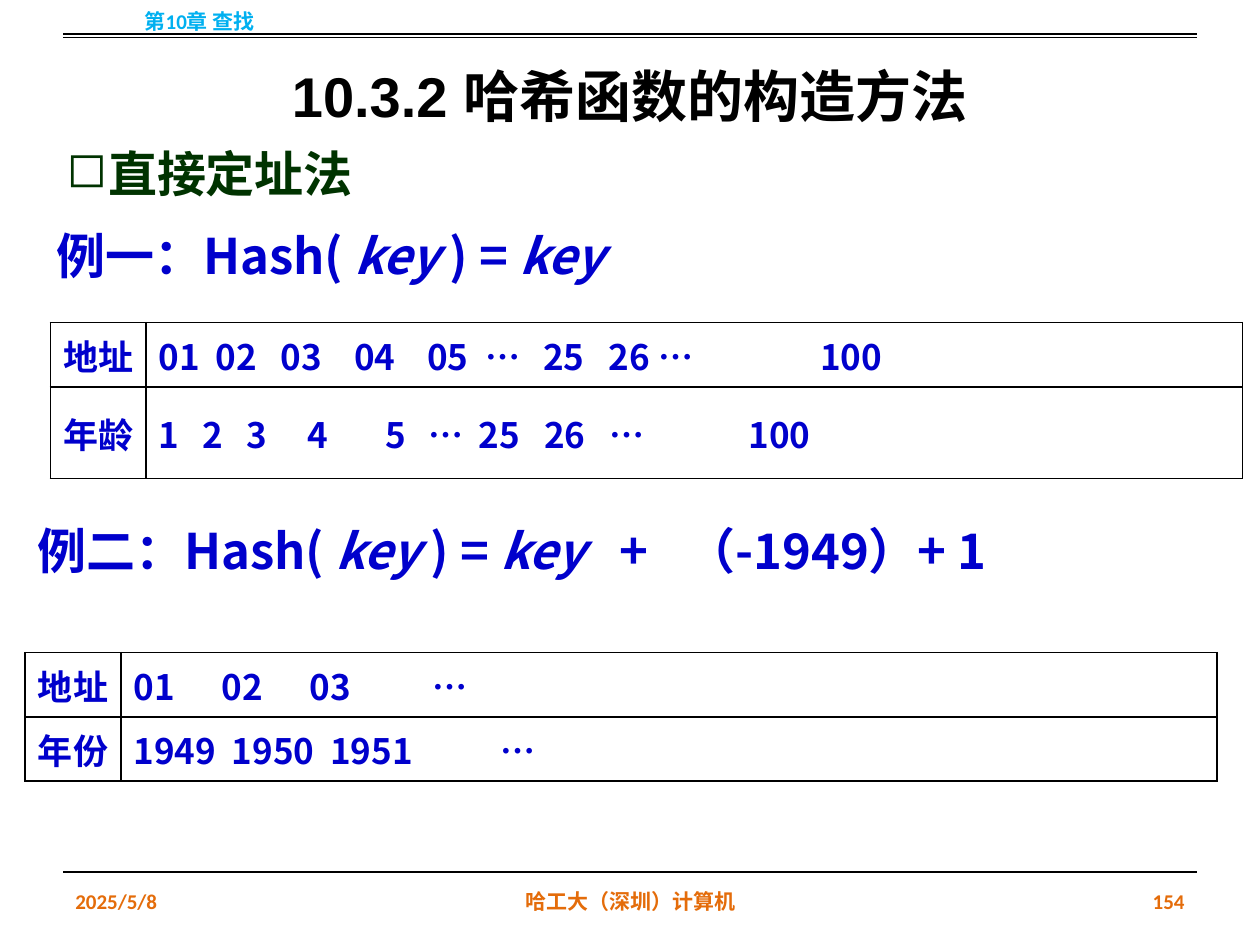
from lxml import etree
from pptx import Presentation
from pptx.dml.color import RGBColor
from pptx.enum.shapes import MSO_CONNECTOR
from pptx.enum.text import MSO_ANCHOR, PP_ALIGN
from pptx.oxml import parse_xml
from pptx.oxml.ns import nsdecls, qn
from pptx.util import Inches, Pt

LEFT, MID, RIGHT = PP_ALIGN.LEFT, PP_ALIGN.CENTER, PP_ALIGN.RIGHT
TOP, CENTER = MSO_ANCHOR.TOP, MSO_ANCHOR.MIDDLE
LINE = MSO_CONNECTOR.STRAIGHT
HUES = {"black": "000000", "orange": "E46C0A", "sky": "00B0F0",
        "blue": "0000CC", "green": "003300"}
SANS = "Noto Sans CJK SC"

deck = Presentation()
deck.slide_width, deck.slide_height = Inches(10), Inches(7.5)
col, row = deck.slide_width / 100, deck.slide_height / 75
slide = deck.slides.add_slide(deck.slide_layouts[5])
shapes = slide.shapes


def grid(x, y, w, h):
    return int(x * col), int(y * row), int(w * col), int(h * row)


def style(para, size, face, hue, align=LEFT, stops=()):
    para.alignment = align
    if stops:
        tabs = etree.SubElement(para._p.get_or_add_pPr(), qn("a:tabLst"))
        for stop in stops:
            etree.SubElement(tabs, qn("a:tab"), pos=str(int(stop * col)), algn="l")
    font = para.font
    font.size, font.name, font.bold = Pt(size), face, True
    font.color.rgb = RGBColor.from_string(HUES[hue])


title = shapes.title
title.left, title.top, title.width, title.height = grid(5, 0, 90, 12.5)
title.text_frame.text = "10.3.2 哈希函数的构造方法"
title.text_frame.vertical_anchor = CENTER
head = title.text_frame.paragraphs[0]
head.line_spacing = 1.5
style(head, 32, "Arial", "black", MID)

for y in (2.7, 3, 69.2):
    x, y, w, h = grid(5, y, 90, 0)
    rule = shapes.add_connector(LINE, x, y, x + w, y)
    rule.line.color.rgb = RGBColor.from_string(HUES["black"])
    rule.line.width = Pt(0.75)
    etree.SubElement(rule._element.spPr, qn("a:effectLst"))

labels = [
    ("第10章 查找", (0, 0, 31.7, 3.4), "sky", MID),
    ("2025/5/8", (5, 69.5, 23.3, 4), "orange", LEFT),
    ("哈工大（深圳）计算机", (34.2, 69.5, 31.7, 4), "orange", MID),
    ("154", (71.7, 69.5, 23.3, 4), "orange", RIGHT),
]
for text, spot, hue, align in labels:
    frame = shapes.add_textbox(*grid(*spot)).text_frame
    frame.word_wrap = True
    frame.vertical_anchor = CENTER
    frame.text = text
    style(frame.paragraphs[0], 12, "Calibri", hue, align)

frame = shapes.add_textbox(*grid(4.3, 10.9, 30.7, 5.7)).text_frame
frame.word_wrap = True
frame.text = "直接定址法"
topic = frame.paragraphs[0]
props = topic._p.get_or_add_pPr()
props.set("marL", str(int(3.3 * col)))
props.set("indent", str(int(-3.3 * col)))
etree.SubElement(props, qn("a:buChar"), char="◻")
style(topic, 28, "Times New Roman", "green")

rules = [
    ((3.5, 17.4, 47, 5.7), "例一：Hash( ", "", ()),
    ((2, 40.8, 80.4, 5.7), "例二：Hash( ", "\t+\t（-1949）+ 1", (46.2, 51.5)),
]
for spot, start, end, stops in rules:
    frame = shapes.add_textbox(*grid(*spot)).text_frame
    frame.word_wrap = False
    frame.vertical_anchor = TOP
    para = frame.paragraphs[0]
    style(para, 28, SANS, "blue", LEFT, stops)
    for text, slant in ((start, False), ("key", True), (" ) = ", False),
                        ("key", True), (end, False)):
        if text:
            run = para.add_run()
            run.text = text
            run.font.italic = slant

tables = [
    ((4, 25.6), (5.1, 7.3), [
        ("地址", "01 02 03 04 05 … 25 26 … 100",
         (4.5, 9.7, 15.5, 21.3, 25.9, 30.5, 35.7, 39.7, 52.5)),
        ("年龄", "1 2 3 4 5 … 25 26 … 100",
         (3.5, 7, 11.8, 18, 21.4, 25.4, 30.6, 35.8, 46.8)),
    ]),
    ((2, 51.8), (5.1, 5.1), [
        ("地址", "01 02 03 …", (7, 14, 23.7)),
        ("年份", "1949 1950 1951 …", (7.8, 15.6, 29.1)),
    ]),
]
for spot, highs, lines in tables:
    table = shapes.add_table(2, 2, *grid(*spot, 94.6, sum(highs))).table
    table.first_row = table.horz_banding = False
    for part, wide in zip(table.columns, (7.6, 87)):
        part.width = int(wide * col)
    for r, (name, items, stops) in enumerate(lines):
        table.rows[r].height = int(highs[r] * row)
        pair = ((name, MID, ()), (items.replace(" ", "\t"), LEFT, stops))
        for c, (text, align, marks) in enumerate(pair):
            cell = table.cell(r, c)
            cell.text = text
            cell.vertical_anchor = CENTER
            cell.fill.background()
            style(cell.text_frame.paragraphs[0], 20, SANS, "blue", align, marks)
            for i, side in enumerate(("lnL", "lnR", "lnT", "lnB")):
                edge = parse_xml(
                    f'<a:{side} {nsdecls("a")} w="{Pt(1)}"><a:solidFill>'
                    f'<a:srgbClr val="{HUES["black"]}"/></a:solidFill></a:{side}>')
                cell._tc.get_or_add_tcPr().insert(i, edge)

deck.save("out.pptx")
